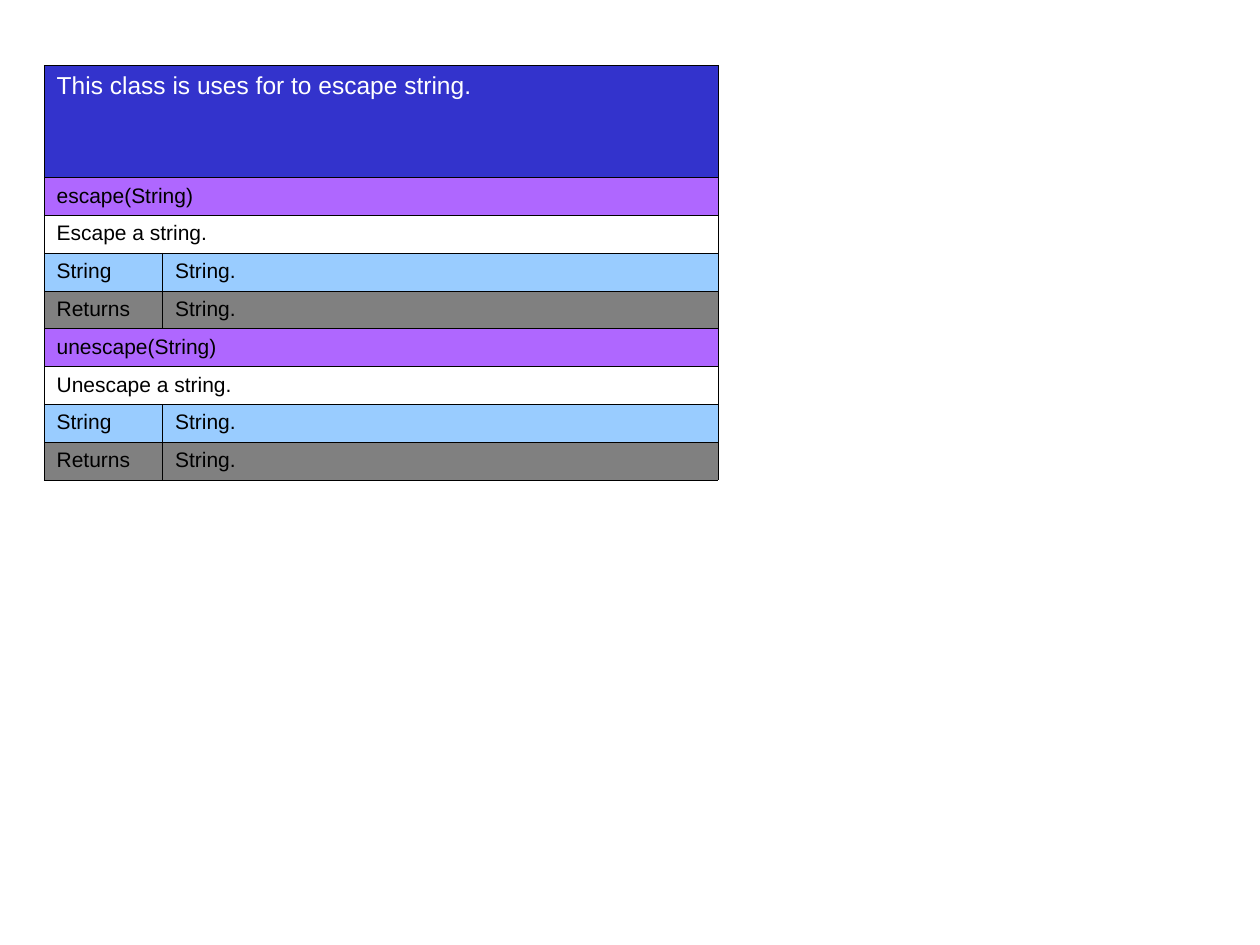
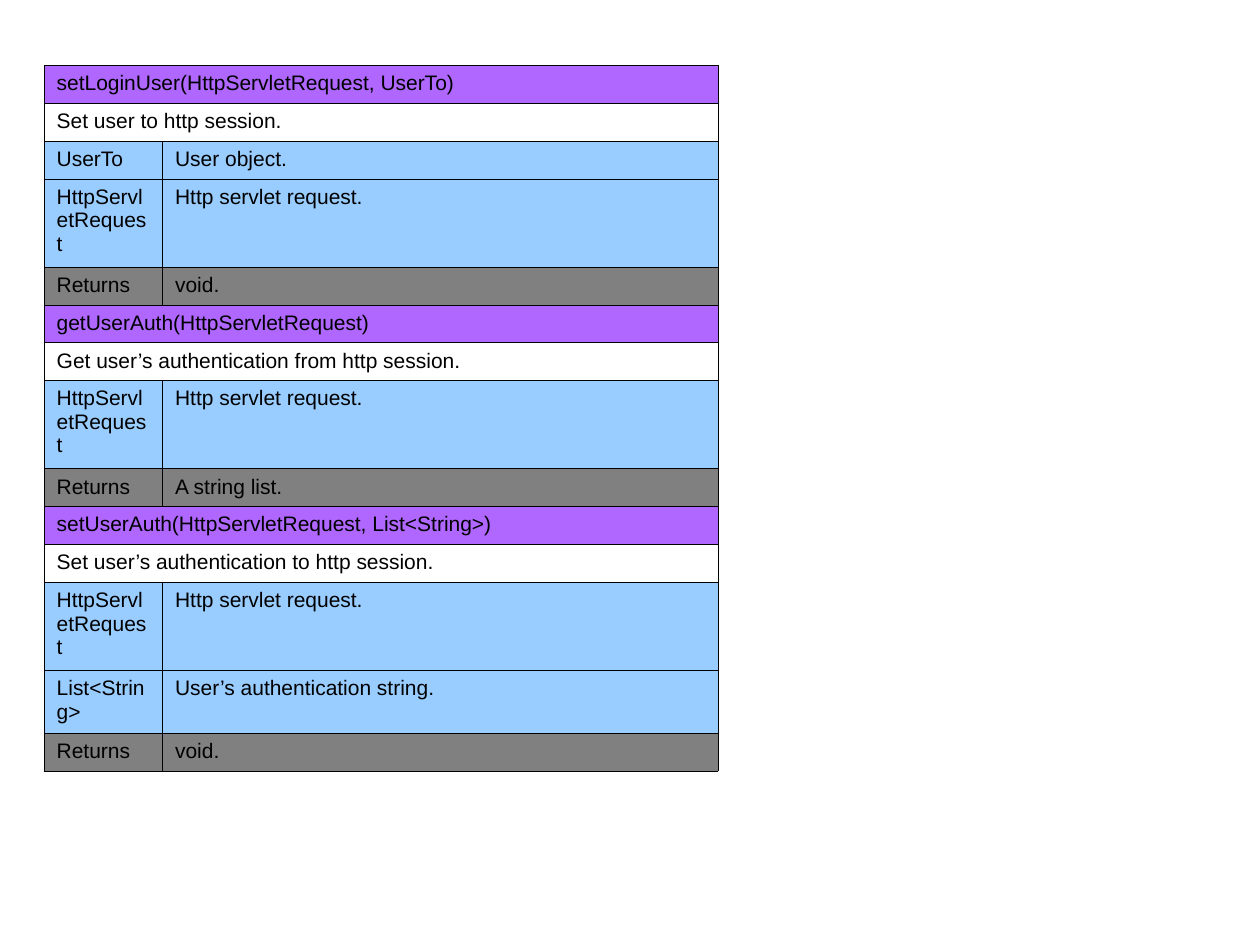
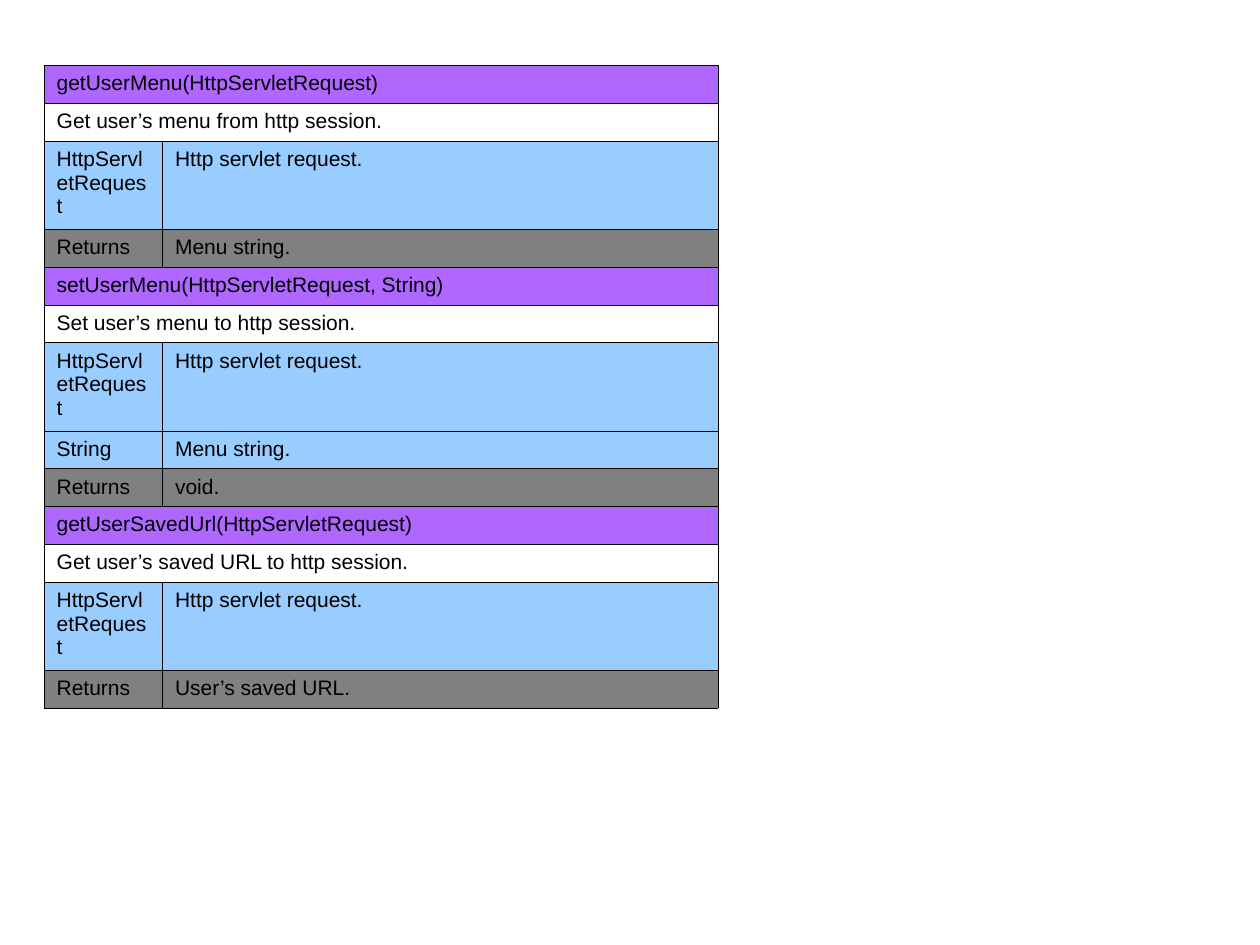
from math import ceil

from lxml.etree import SubElement
from pptx import Presentation
from pptx.dml.color import RGBColor
from pptx.oxml.ns import qn
from pptx.util import Inches, Pt

# Shared look
FONT = "Arial"
BLACK, WHITE, BLUE = "000000", "FFFFFF", "3333CC"
PURPLE, LIGHT_BLUE, GRAY = "AF67FF", "99CCFF", "808080"
TABLE_BOX = (0.35, 0.52, 5.35)  # left, top, width
LABEL_WIDTH = 0.94
LABEL_CHARS = 7  # characters that fit on one line of the label column
SUMMARY_HEIGHT = 0.89

REQUEST = ("HttpServletRequest", "Http servlet request.")

# Each slide: class summary, then (signature, purpose, parameters, returns)
PAGES = [
    ("This class is uses for to escape string.", [
        ("escape(String)", "Escape a string.",
         [("String", "String.")], "String."),
        ("unescape(String)", "Unescape a string.",
         [("String", "String.")], "String."),
    ]),
    (None, [
        ("setLoginUser(HttpServletRequest, UserTo)",
         "Set user to http session.",
         [("UserTo", "User object."), REQUEST], "void."),
        ("getUserAuth(HttpServletRequest)",
         "Get user’s authentication from http session.",
         [REQUEST], "A string list."),
        ("setUserAuth(HttpServletRequest, List<String>)",
         "Set user’s authentication to http session.",
         [REQUEST, ("List<String>", "User’s authentication string.")],
         "void."),
    ]),
    (None, [
        ("getUserMenu(HttpServletRequest)",
         "Get user’s menu from http session.",
         [REQUEST], "Menu string."),
        ("setUserMenu(HttpServletRequest, String)",
         "Set user’s menu to http session.",
         [REQUEST, ("String", "Menu string.")], "void."),
        ("getUserSavedUrl(HttpServletRequest)",
         "Get user’s saved URL to http session.",
         [REQUEST], "User’s saved URL."),
    ]),
]


def rgb(hex_color):
    return RGBColor.from_string(hex_color)


def add_borders(cell):
    properties = cell._tc.get_or_add_tcPr()
    for side in ("a:lnL", "a:lnR", "a:lnT", "a:lnB"):
        line = SubElement(properties, qn(side), w=str(Pt(0.45)))
        fill = SubElement(line, qn("a:solidFill"))
        SubElement(fill, qn("a:srgbClr"), val=BLACK)


def fill_cell(cell, color, opacity=50):
    if color is None:
        cell.fill.background()
        return
    cell.fill.solid()
    cell.fill.fore_color.rgb = rgb(color)
    if opacity < 100:
        tint = cell._tc.tcPr.find(".//" + qn("a:srgbClr"))
        SubElement(tint, qn("a:alpha"), val=str(opacity * 1000))


def write_cell(cell, text, size=12, color=BLACK):
    cell.text = text
    paragraph = cell.text_frame.paragraphs[0]
    paragraph.space_before = Pt(size / 4)
    paragraph.font.name = FONT
    paragraph.font.size = Pt(size)
    paragraph.font.color.rgb = rgb(color)


def method_rows(signature, purpose, parameters, returns):
    """Rows of one method as (texts, fill); a single text spans the row."""
    return [
        ((signature,), PURPLE),
        ((purpose,), None),
        *((parameter, LIGHT_BLUE) for parameter in parameters),
        (("Returns", returns), GRAY),
    ]


def row_height(texts):
    lines = ceil(len(texts[0]) / LABEL_CHARS) if len(texts) == 2 else 1
    return 0.1 + 0.2 * lines


def add_class_table(slide, box, summary, methods):
    left, top, width = box
    rows = [row for method in methods for row in method_rows(*method)]
    heights = [row_height(texts) for texts, _ in rows]
    if summary:
        rows.insert(0, ((summary,), BLUE))
        heights.insert(0, SUMMARY_HEIGHT)

    table = slide.shapes.add_table(
        len(rows), 2, Inches(left), Inches(top),
        Inches(width), Inches(sum(heights))).table
    table.first_row = table.horz_banding = False
    table.columns[0].width = Inches(LABEL_WIDTH)
    table.columns[1].width = Inches(width - LABEL_WIDTH)

    for index, (texts, color) in enumerate(rows):
        table.rows[index].height = Inches(heights[index])
        cells = [table.cell(index, column) for column in range(2)]
        is_summary = color == BLUE
        for cell in cells:
            add_borders(cell)
            fill_cell(cell, color, 100 if is_summary else 50)
        if len(texts) == 1:
            cells[0].merge(cells[1])
        for cell, text in zip(cells, texts):
            if is_summary:
                write_cell(cell, text, 14, WHITE)
            else:
                write_cell(cell, text)


def main():
    deck = Presentation()
    deck.slide_width, deck.slide_height = Inches(10), Inches(7.5)
    blank_layout = deck.slide_layouts[6]
    for summary, methods in PAGES:
        slide = deck.slides.add_slide(blank_layout)
        add_class_table(slide, TABLE_BOX, summary, methods)
    deck.save("out.pptx")


if __name__ == "__main__":
    main()
